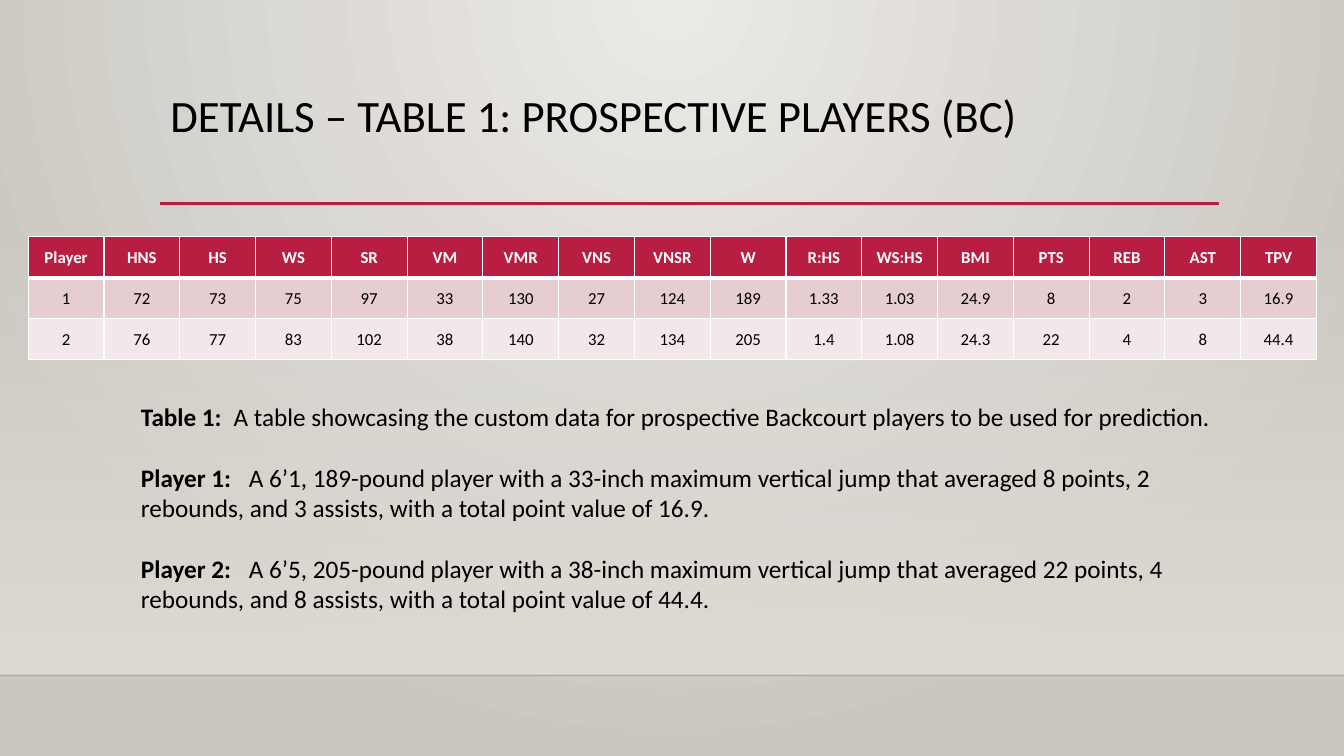
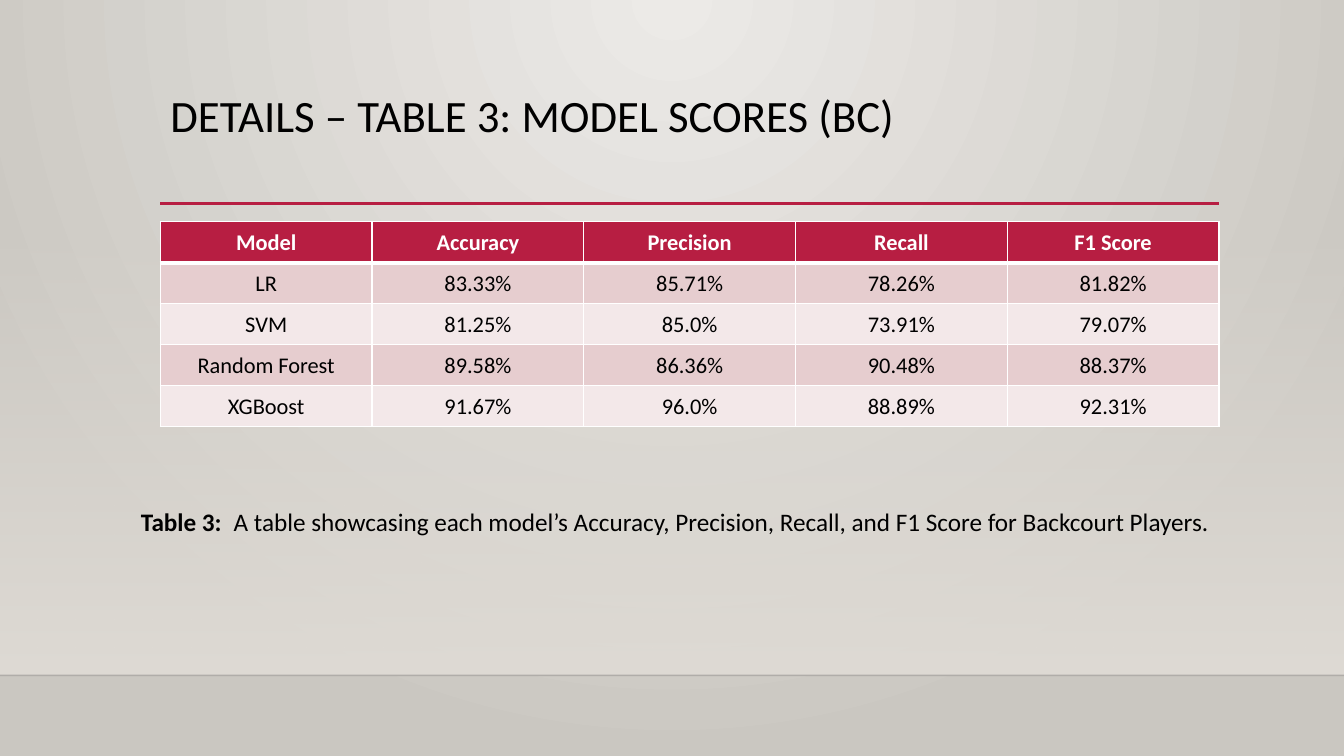
"""Build two slides of backcourt player data and model scores."""
from lxml import etree
from pptx import Presentation
from pptx.dml.color import RGBColor
from pptx.enum.shapes import MSO_CONNECTOR, MSO_SHAPE
from pptx.enum.text import MSO_ANCHOR, PP_ALIGN
from pptx.oxml.ns import qn
from pptx.util import Inches, Pt

STRAIGHT = MSO_CONNECTOR.STRAIGHT
RECTANGLE = MSO_SHAPE.RECTANGLE
TOP, MIDDLE = MSO_ANCHOR.TOP, MSO_ANCHOR.MIDDLE
LEFT, CENTER = PP_ALIGN.LEFT, PP_ALIGN.CENTER

FONT = "Calibri"
BLACK, WHITE, CRIMSON = "000000", "FFFFFF", "B71E42"
BAND_FILLS = ("E6CDCF", "F3E8E9")
BACKDROP = ("ECEAE7", "CAC7C1")
PANEL = "DFDBD5"
FLOOR_LINE = "000001"

SLIDE_WIDTH, SLIDE_HEIGHT = 13.33, 7.5
CONTENT_LEFT, CONTENT_WIDTH = 1.59, 10.5
PANEL_TOP, FLOOR_TOP = 2.21, 6.7
RULE_TOP = 2.02
ROW_HEIGHT = 0.406
NOTES_LEFT, NOTES_WIDTH = 1.3, 11.07

SLIDES = [
    {
        "title": "DETAILS – TABLE 1: PROSPECTIVE PLAYERS (BC)",
        "table": {"left": 0.28, "top": 2.35, "width": 12.78, "size": 12},
        "rows": [
            ("Player", "HNS", "HS", "WS", "SR", "VM", "VMR", "VNS", "VNSR", "W",
             "R:HS", "WS:HS", "BMI", "PTS", "REB", "AST", "TPV"),
            ("1", "72", "73", "75", "97", "33", "130", "27", "124", "189",
             "1.33", "1.03", "24.9", "8", "2", "3", "16.9"),
            ("2", "76", "77", "83", "102", "38", "140", "32", "134", "205",
             "1.4", "1.08", "24.3", "22", "4", "8", "44.4"),
        ],
        "notes_top": 3.93,
        "notes_height": 2.52,
        "notes": [
            ("Table 1:", 0.92, "A table showcasing the custom data for prospective "
             "Backcourt players to be used for prediction."),
            ("Player 1:", 1.07, "A 6’1, 189-pound player with a 33-inch maximum "
             "vertical jump that averaged 8 points, 2 rebounds, and 3 assists, "
             "with a total point value of 16.9."),
            ("Player 2:", 1.07, "A 6’5, 205-pound player with a 38-inch maximum "
             "vertical jump that averaged 22 points, 4 rebounds, and 8 assists, "
             "with a total point value of 44.4."),
        ],
    },
    {
        "title": "DETAILS – TABLE 3: MODEL SCORES (BC)",
        "table": {"left": CONTENT_LEFT, "top": 2.2, "width": CONTENT_WIDTH, "size": 16},
        "rows": [
            ("Model", "Accuracy", "Precision", "Recall", "F1 Score"),
            ("LR", "83.33%", "85.71%", "78.26%", "81.82%"),
            ("SVM", "81.25%", "85.0%", "73.91%", "79.07%"),
            ("Random Forest", "89.58%", "86.36%", "90.48%", "88.37%"),
            ("XGBoost", "91.67%", "96.0%", "88.89%", "92.31%"),
        ],
        "notes_top": 4.97,
        "notes_height": 0.4,
        "notes": [
            ("Table 3:", 0.92, "A table showcasing each model’s Accuracy, Precision, "
             "Recall, and F1 Score for Backcourt Players."),
        ],
    },
]


def color(value):
    return RGBColor.from_string(value)


def add_child(parent, tag, **attributes):
    return etree.SubElement(parent, qn(tag), attributes)


def set_alpha(color_element, percent):
    add_child(color_element, "a:alpha", val=str(percent * 1000))


def set_gradient(fill, colors):
    fill.gradient()
    for stop, value in zip(fill.gradient_stops, colors):
        stop.color.rgb = color(value)


def format_run(run, size, value=BLACK, bold=False):
    run.font.name = FONT
    run.font.size = Pt(size)
    run.font.bold = bold
    run.font.color.rgb = color(value)


def set_backdrop(master):
    set_gradient(master.background.fill, BACKDROP)
    linear = master.element.xpath("p:cSld/p:bg//a:lin")[0]
    gradient = linear.getparent()
    gradient.remove(linear)
    circle = add_child(gradient, "a:path", path="circle")
    add_child(circle, "a:fillToRect", l="43000", t="0", r="43000", b="100000")


def add_rule(slide, left, right, top, value, width):
    rule = slide.shapes.add_connector(
        STRAIGHT, Inches(left), Inches(top), Inches(right), Inches(top))
    rule.line.color.rgb = color(value)
    rule.line.width = Pt(width)
    add_child(rule.element.spPr, "a:effectLst")
    return rule


def add_frame(slide):
    panel = slide.shapes.add_shape(
        RECTANGLE, 0, Inches(PANEL_TOP), Inches(SLIDE_WIDTH), Inches(FLOOR_TOP - PANEL_TOP))
    panel.shadow.inherit = False
    panel.line.fill.background()
    set_gradient(panel.fill, (PANEL, PANEL))
    panel.fill.gradient_angle = 270
    set_alpha(panel.element.xpath(".//a:gs/a:srgbClr")[0], 0)
    floor = add_rule(slide, 0, SLIDE_WIDTH, FLOOR_TOP, FLOOR_LINE, 1)
    set_alpha(floor.element.xpath(".//a:ln//a:srgbClr")[0], 20)
    add_rule(slide, CONTENT_LEFT, CONTENT_LEFT + CONTENT_WIDTH, RULE_TOP, CRIMSON, 2.5)


def set_title(slide, text):
    title = slide.shapes.title
    title.left, title.top = Inches(CONTENT_LEFT), Inches(0.88)
    title.width, title.height = Inches(CONTENT_WIDTH), Inches(1.15)
    title.text_frame.text = text
    title.text_frame.vertical_anchor = TOP
    paragraph = title.text_frame.paragraphs[0]
    paragraph.alignment = LEFT
    paragraph.line_spacing = 0.9
    format_run(paragraph.runs[0], 32)


def set_borders(cell, row):
    properties = cell._tc.get_or_add_tcPr()
    widths = {"L": 1, "R": 1, "T": 3 if row == 1 else 1, "B": 3 if row == 0 else 1}
    for side, width in widths.items():
        border = add_child(properties, f"a:ln{side}", w=str(Pt(width)))
        add_child(add_child(border, "a:solidFill"), "a:srgbClr", val=WHITE)


def format_cell(cell, row, size):
    header = row == 0
    set_borders(cell, row)
    cell.fill.solid()
    cell.fill.fore_color.rgb = color(CRIMSON if header else BAND_FILLS[(row - 1) % 2])
    cell.vertical_anchor = MIDDLE
    cell.margin_left = cell.margin_right = Inches(0.07)
    cell.margin_top = cell.margin_bottom = 0
    paragraph = cell.text_frame.paragraphs[0]
    paragraph.alignment = CENTER
    paragraph.line_spacing = 1.07
    format_run(paragraph.runs[0], size, WHITE if header else BLACK, header)


def add_data_table(slide, rows, left, top, width, size):
    table = slide.shapes.add_table(
        len(rows), len(rows[0]), Inches(left), Inches(top),
        Inches(width), Inches(ROW_HEIGHT * len(rows))).table
    table.horz_banding = False
    for row, values in enumerate(rows):
        for column, value in enumerate(values):
            cell = table.cell(row, column)
            cell.text_frame.text = value
            format_cell(cell, row, size)


def add_notes(slide, notes, top, height):
    box = slide.shapes.add_textbox(
        Inches(NOTES_LEFT), Inches(top), Inches(NOTES_WIDTH), Inches(height))
    frame = box.text_frame
    frame.word_wrap = True
    for index, (label, tab_stop, text) in enumerate(notes):
        paragraph = frame.add_paragraph() if index else frame.paragraphs[0]
        paragraph.space_before = Pt(22 if index else 0)
        tabs = add_child(paragraph._p.get_or_add_pPr(), "a:tabLst")
        add_child(tabs, "a:tab", pos=str(Inches(tab_stop)), algn="l")
        for part, bold in ((label + "\t", True), (text, False)):
            run = paragraph.add_run()
            run.text = part
            format_run(run, 18, bold=bold)


def main():
    presentation = Presentation()
    presentation.slide_width = Inches(SLIDE_WIDTH)
    presentation.slide_height = Inches(SLIDE_HEIGHT)
    set_backdrop(presentation.slide_master)
    for content in SLIDES:
        slide = presentation.slides.add_slide(presentation.slide_layouts[5])
        add_frame(slide)
        set_title(slide, content["title"])
        add_data_table(slide, content["rows"], **content["table"])
        add_notes(slide, content["notes"], content["notes_top"], content["notes_height"])
    presentation.save("out.pptx")


if __name__ == "__main__":
    main()
